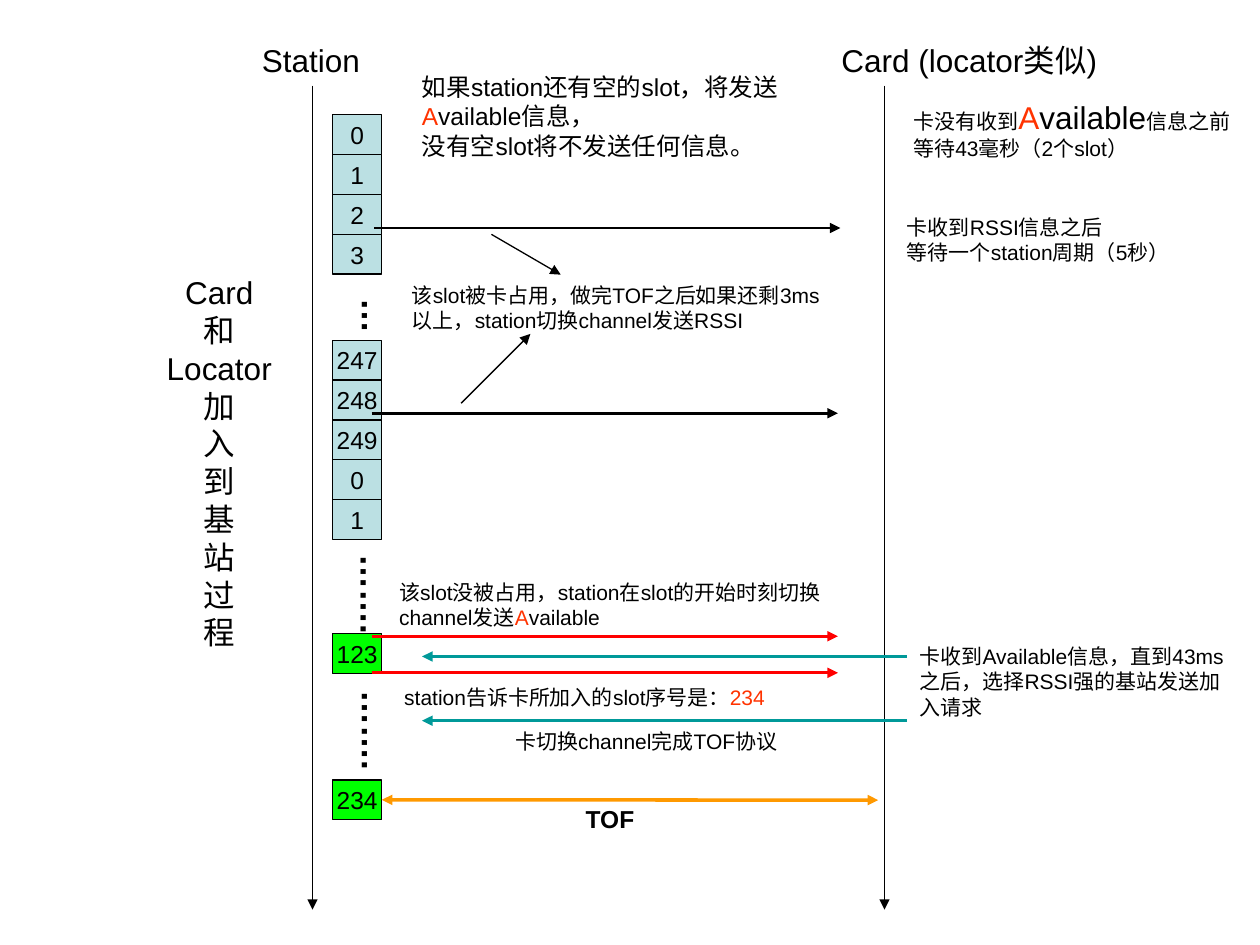
from lxml.etree import SubElement
from pptx import Presentation
from pptx.dml.color import RGBColor
from pptx.enum.shapes import MSO_CONNECTOR, MSO_SHAPE
from pptx.enum.text import MSO_ANCHOR, MSO_AUTO_SIZE, PP_ALIGN
from pptx.oxml.ns import qn
from pptx.util import Inches, Pt

BLACK = RGBColor(0x00, 0x00, 0x00)
PALE_BLUE = RGBColor(0xBB, 0xE0, 0xE3)
GREEN = RGBColor(0x00, 0xFF, 0x00)
RED = RGBColor(0xFF, 0x00, 0x00)
ORANGE_RED = RGBColor(0xFF, 0x33, 0x00)
TEAL = RGBColor(0x00, 0x99, 0x99)
ORANGE = RGBColor(0xFF, 0x99, 0x00)

SLOT_LEFT, SLOT_WIDTH = 2.64, 0.39
SLOT_HEIGHT = 0.95 / 3

SLOT_GROUPS = [
    (0.91, PALE_BLUE, ["0", "1", "2", "3"]),
    (2.7, PALE_BLUE, ["247", "248", "249", "0", "1"]),
    (5.03, GREEN, ["123"]),
    (6.19, GREEN, ["234"]),
]

# left, top, width, height, dots
GAPS = [
    (2.67, 2.27, 0.53, 0.38, "…"),
    (2.66, 4.3, 0.53, 0.74, "……."),
    (2.67, 5.38, 0.53, 0.74, "……."),
]

# start, end, colour, line width
ARROWS = [
    ((2.48, 0.68), (2.48, 7.22), BLACK, 0.75),
    ((7.02, 0.68), (7.02, 7.22), BLACK, 0.75),
    ((2.97, 1.81), (6.67, 1.81), BLACK, 1.5),
    ((2.95, 3.28), (6.65, 3.28), BLACK, 1.5),
    ((3.9, 1.86), (4.45, 2.18), BLACK, 0.75),
    ((3.66, 3.2), (4.21, 2.65), BLACK, 0.75),
    ((2.95, 5.05), (6.65, 5.05), RED, 1.75),
    ((7.2, 5.21), (3.35, 5.21), TEAL, 2),
    ((2.95, 5.34), (6.65, 5.34), RED, 1.75),
    ((7.2, 5.72), (3.35, 5.72), TEAL, 2),
]

# place, size, paragraphs; a span is (text, colour, own size)
NOTES = [
    ((1.98, 0.28, 0.98, 0.4), 18, [[("Station",)]]),
    ((6.58, 0.28, 2.35, 0.4), 18, [[("Card (locator类似)",)]]),
    ((3.25, 0.52, 3.26, 0.8), 14, [
        [("如果station还有空的slot，将发送",)],
        [("A", ORANGE_RED), ("vailable信息，",)],
        [("没有空slot将不发送任何信息。",)],
    ]),
    ((7.15, 0.73, 2.85, 0.6), 12, [
        [("卡没有收到",), ("A", ORANGE_RED, 18), ("vailable", BLACK, 18), ("信息之前",)],
        [("等待43毫秒（2个slot）",)],
    ]),
    ((7.1, 1.65, 2.44, 0.5), 12, [
        [("卡收到RSSI信息之后",)],
        [("等待一个station周期（5秒）",)],
    ]),
    ((3.17, 2.19, 3.64, 0.5), 12, [
        [("该slot被卡占用，做完TOF之后如果还剩3ms",)],
        [("以上，station切换channel发送RSSI",)],
    ]),
    ((3.07, 4.55, 3.78, 0.5), 12, [
        [("该slot没被占用，station在slot的开始时刻切换",)],
        [("channel发送",), ("A", ORANGE_RED), ("vailable",)],
    ]),
    ((3.11, 5.38, 3.22, 0.3), 12, [
        [("station告诉卡所加入的slot序号是：",), ("234", ORANGE_RED)],
    ]),
    ((3.99, 5.73, 2.44, 0.3), 12, [[("卡切换channel完成TOF协议",)]]),
]

JOIN_REQUEST = "卡收到Available信息，直到43ms之后，选择RSSI强的基站发送加入请求"
TITLE_LINES = ["Card", "和", "Locator", *"加入到基站过程"]


def add_span(para, text, size, color=BLACK, bold=False):
    span = para.add_run()
    span.text = text
    span.font.name = "Arial"
    span.font.size = Pt(size)
    span.font.bold = bold
    span.font.color.rgb = color


def add_note(slide, place, size, paragraphs, align=PP_ALIGN.LEFT, bold=False, wrap=False):
    box = slide.shapes.add_textbox(*map(Inches, place))
    frame = box.text_frame
    frame.word_wrap = wrap
    frame.auto_size = MSO_AUTO_SIZE.SHAPE_TO_FIT_TEXT
    for index, spans in enumerate(paragraphs):
        para = frame.add_paragraph() if index else frame.paragraphs[0]
        para.alignment = align
        for text, color, own_size in (span + (BLACK, size)[len(span) - 1:] for span in spans):
            add_span(para, text, own_size, color, bold)
    return box


def add_gap(slide, left, top, width, height, dots):
    """Add dots that run downwards for the slots left out."""
    box = add_note(slide, (left, top, width, height), 20, [[(dots,)]], bold=True)
    frame = box.text_frame
    frame.margin_left = frame.margin_right = frame.margin_top = Inches(0.05)
    frame.margin_bottom = Inches(0.15)
    box.element.txBody.find(qn("a:bodyPr")).set("vert", "eaVert")


def add_slot(slide, top, fill, number):
    slot = slide.shapes.add_shape(
        MSO_SHAPE.RECTANGLE, Inches(SLOT_LEFT), Inches(top), Inches(SLOT_WIDTH), Inches(SLOT_HEIGHT))
    slot.shadow.inherit = False
    slot.fill.solid()
    slot.fill.fore_color.rgb = fill
    slot.line.color.rgb = BLACK
    slot.line.width = Pt(0.75)
    frame = slot.text_frame
    frame.word_wrap = False
    frame.vertical_anchor = MSO_ANCHOR.MIDDLE
    para = frame.paragraphs[0]
    para.alignment = PP_ALIGN.CENTER
    add_span(para, number, 14)
    return slot


def add_arrow(slide, start, end, color, width, both_ends=False):
    arrow = slide.shapes.add_connector(MSO_CONNECTOR.STRAIGHT, *map(Inches, start + end))
    arrow.line.color.rgb = color
    arrow.line.width = Pt(width)
    line = arrow.line._get_or_add_ln()
    for tag in ["a:headEnd", "a:tailEnd"] if both_ends else ["a:tailEnd"]:
        SubElement(line, qn(tag), type="triangle")
    SubElement(arrow.element.spPr, qn("a:effectLst"))
    return arrow


def main():
    deck = Presentation()
    deck.slide_width, deck.slide_height = Inches(10), Inches(7.5)
    slide = deck.slides.add_slide(deck.slide_layouts[6])

    for top, fill, numbers in SLOT_GROUPS:
        for row, number in enumerate(numbers):
            slot = add_slot(slide, top + row * SLOT_HEIGHT, fill, number)
    last_slot = slot

    for gap in GAPS:
        add_gap(slide, *gap)
    for arrow in ARROWS:
        add_arrow(slide, *arrow)
    ranging = add_arrow(slide, (3.03, 6.35), (6.97, 6.35), ORANGE, 2, both_ends=True)
    ranging.begin_connect(last_slot, 3)

    for place, size, paragraphs in NOTES:
        add_note(slide, place, size, paragraphs)
    add_note(slide, (7.2, 5.06, 2.68, 0.7), 12, [[(JOIN_REQUEST,)]], wrap=True)
    add_note(slide, (4.55, 6.33, 0.59, 0.34), 14, [[("TOF",)]], bold=True)
    add_note(slide, (1.2, 2.12, 1.08, 3.1), 18, [[(line,)] for line in TITLE_LINES], PP_ALIGN.CENTER)

    deck.save("out.pptx")


if __name__ == "__main__":
    main()
